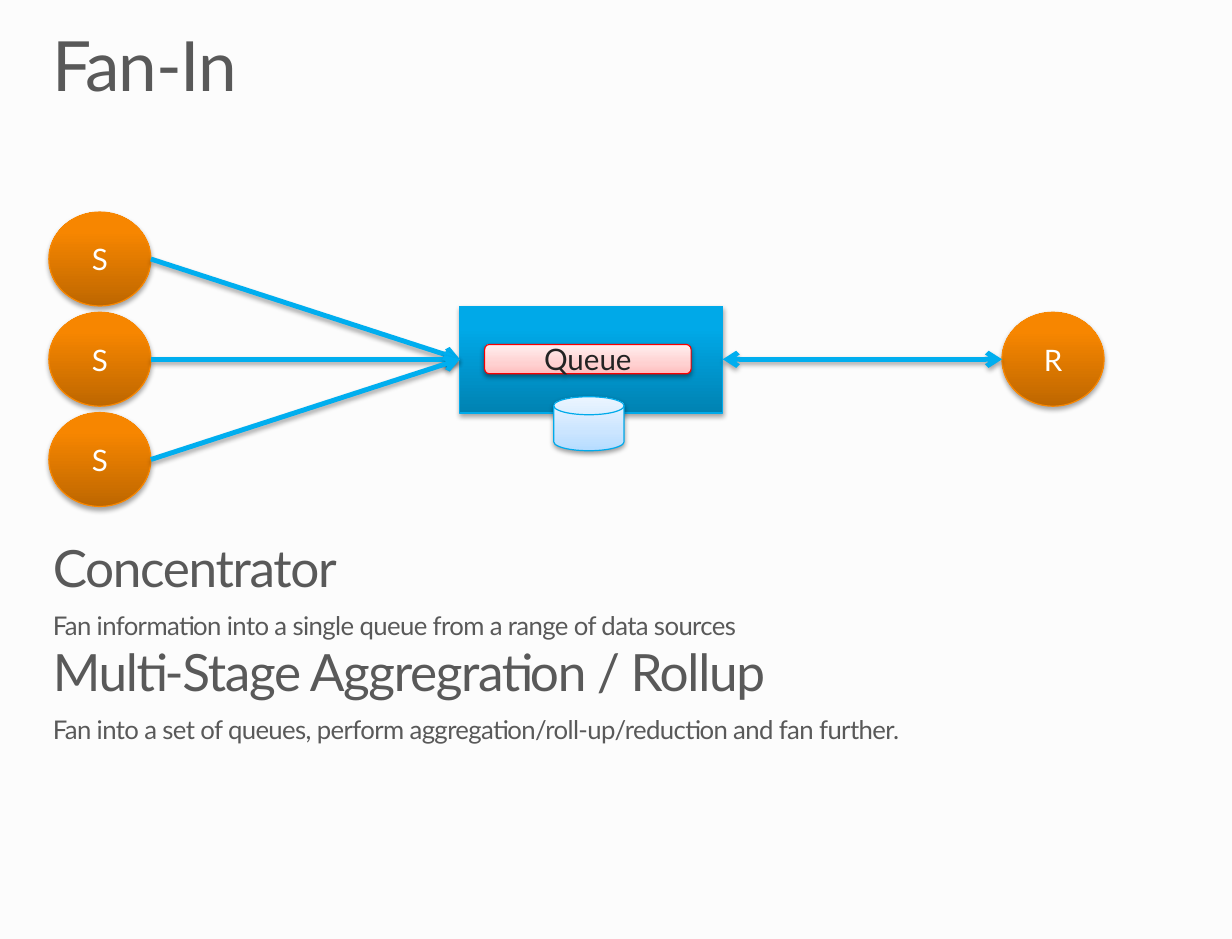
"""Build the Fan-In messaging pattern slide."""
import pptx
import pptx.dml.color
import pptx.enum.shapes
import pptx.enum.text
import pptx.oxml
import pptx.oxml.ns
import pptx.util

Pt = pptx.util.Pt
SHAPES = pptx.enum.shapes.MSO_SHAPE
FONT = "Lato"
COLORS = {
    "background": "FCFCFC", "text": "595959", "node_text": "FFFFFF", "queue_text": "232323",
    "arrow": "00AEEF", "node_line": "F98700", "broker_line": "00AAEA", "queue_line": "F90000",
}
GRADIENTS = {
    "node": [(0, "BE6700"), (80, "F78600"), (100, "F88600")],
    "broker": [(0, "0082B2"), (80, "00A9E8"), (100, "00A9E9")],
    "store": [(0, "B5DCFF"), (35, "CBE5FF"), (100, "EBF5FF")],
    "queue": [(0, "FFBDBD"), (35, "FFD1D1"), (100, "FFEEEE")],
}
TITLE = "Fan-In"
TOPICS = [
    ("Concentrator", "Fan information into a single queue from a range of data sources"),
    ("Multi-Stage Aggregration / Rollup",
     "Fan into a set of queues, perform aggregation/roll-up/reduction and fan further."),
]
SENDERS = ["S", "S", "S"]
RECEIVER = "R"
QUEUE = "Queue"

MARGIN, TEXT_WIDTH = 32.4, 691.2
NODE_WIDTH, NODE_HEIGHT, NODE_PITCH = 62.6, 57.6, 61.5
SENDER_LEFT, RECEIVER_LEFT, AXIS = 30, 614.9, 220.4
BROKER = (282.2, 187.9, 161.3, 65.5)
STORE = (339.8, 243.4, 43.2, 33.1)
QUEUE_BOX = (297.4, 211.3, 126.7, 18)


def rgb(name):
    return pptx.dml.color.RGBColor.from_string(COLORS[name])


def xml(tag, attributes="", content=""):
    namespace = pptx.oxml.ns.nsdecls("a")
    return pptx.oxml.parse_xml(f"<a:{tag} {namespace} {attributes}>{content}</a:{tag}>")


def add_shadow(properties, opacity=35, distance=1.8):
    color = f'<a:srgbClr val="000000"><a:alpha val="{opacity * 1000}"/></a:srgbClr>'
    shadow = (f'<a:outerShdw blurRad="{Pt(3.1)}" dist="{Pt(distance)}" dir="5400000" '
              f'rotWithShape="0">{color}</a:outerShdw>')
    properties.append(xml("effectLst", content=shadow))


def add_text(paragraph, text, size, color, spacing=0):
    run = paragraph.add_run()
    run.text = text
    run.font.size = Pt(size)
    run.font.name = FONT
    run.font.color.rgb = rgb(color)
    if spacing:
        run.font._element.set("spc", str(round(spacing * 100)))


def add_text_box(slide, top, height):
    box = slide.shapes.add_textbox(Pt(MARGIN), Pt(top), Pt(TEXT_WIDTH), Pt(height))
    frame = box.text_frame
    frame.word_wrap = True
    frame.margin_left = frame.margin_right = frame.margin_top = frame.margin_bottom = 0
    return frame


def add_block(slide, kind, box, gradient, line, label="", text_color="node_text", shadow=(35, 1.8)):
    shape = slide.shapes.add_shape(kind, *(Pt(value) for value in box))
    shape.line.color.rgb = rgb(line)
    shape.line.width = Pt(0.75)
    properties = shape._element.spPr
    stops = "".join(f'<a:gs pos="{position * 1000}"><a:srgbClr val="{color}"/></a:gs>'
                    for position, color in GRADIENTS[gradient])
    fill = xml("gradFill", 'rotWithShape="1"',
               f'<a:gsLst>{stops}</a:gsLst><a:lin ang="16200000" scaled="0"/>')
    properties.find(pptx.oxml.ns.qn("a:ln")).addprevious(fill)
    add_shadow(properties, *shadow)
    if label:
        frame = shape.text_frame
        frame.margin_left = frame.margin_right = Pt(5.8)
        frame.margin_top = frame.margin_bottom = Pt(2.9)
        frame.vertical_anchor = pptx.enum.text.MSO_ANCHOR.MIDDLE
        paragraph = frame.paragraphs[0]
        paragraph.alignment = pptx.enum.text.PP_ALIGN.CENTER
        add_text(paragraph, label, 18.1, text_color)


def add_node(slide, label, left, center):
    box = (left, center - NODE_HEIGHT / 2, NODE_WIDTH, NODE_HEIGHT)
    add_block(slide, SHAPES.OVAL, box, "node", "node_line", label)


def add_arrow(slide, start, end, ends=("tailEnd",)):
    connector = slide.shapes.add_connector(
        pptx.enum.shapes.MSO_CONNECTOR.STRAIGHT, *(Pt(value) for value in start + end))
    connector.line.color.rgb = rgb("arrow")
    connector.line.width = Pt(3)
    properties = connector._element.spPr
    for tag in ends:
        properties.find(pptx.oxml.ns.qn("a:ln")).append(xml(tag, 'type="arrow"'))
    add_shadow(properties)


def main():
    presentation = pptx.Presentation()
    presentation.slide_width, presentation.slide_height = Pt(756), Pt(576)
    slide = presentation.slides.add_slide(presentation.slide_layouts[6])
    slide.background.fill.solid()
    slide.background.fill.fore_color.rgb = rgb("background")

    title = add_text_box(slide, 19.4, 46.1).paragraphs[0]
    title.line_spacing = 0.9
    add_text(title, TITLE, 42.5, "text", -0.8)

    body = add_text_box(slide, 329, 128.9)
    for index, (heading, detail) in enumerate(TOPICS):
        paragraph = body.add_paragraph() if index else body.paragraphs[0]
        paragraph.space_after = Pt(7.1)
        add_text(paragraph, heading, 31.5, "text", -0.8)
        add_text(body.add_paragraph(), detail, 15.8, "text", -0.4)

    add_block(slide, SHAPES.RECTANGLE, BROKER, "broker", "broker_line")
    broker_left, broker_right = BROKER[0], BROKER[0] + BROKER[2]
    for index, label in enumerate(SENDERS):
        center = AXIS + (index - (len(SENDERS) - 1) / 2) * NODE_PITCH
        add_node(slide, label, SENDER_LEFT, center)
        add_arrow(slide, (SENDER_LEFT + NODE_WIDTH, center), (broker_left, AXIS))
    add_node(slide, RECEIVER, RECEIVER_LEFT, AXIS)
    add_arrow(slide, (broker_right, AXIS), (RECEIVER_LEFT, AXIS), ("headEnd", "tailEnd"))
    add_block(slide, SHAPES.FLOWCHART_MAGNETIC_DISK, STORE, "store", "broker_line", shadow=(38, 1.6))
    add_block(slide, SHAPES.ROUNDED_RECTANGLE, QUEUE_BOX, "queue", "queue_line",
              QUEUE, "queue_text", (38, 1.6))
    presentation.save("out.pptx")


if __name__ == "__main__":
    main()
